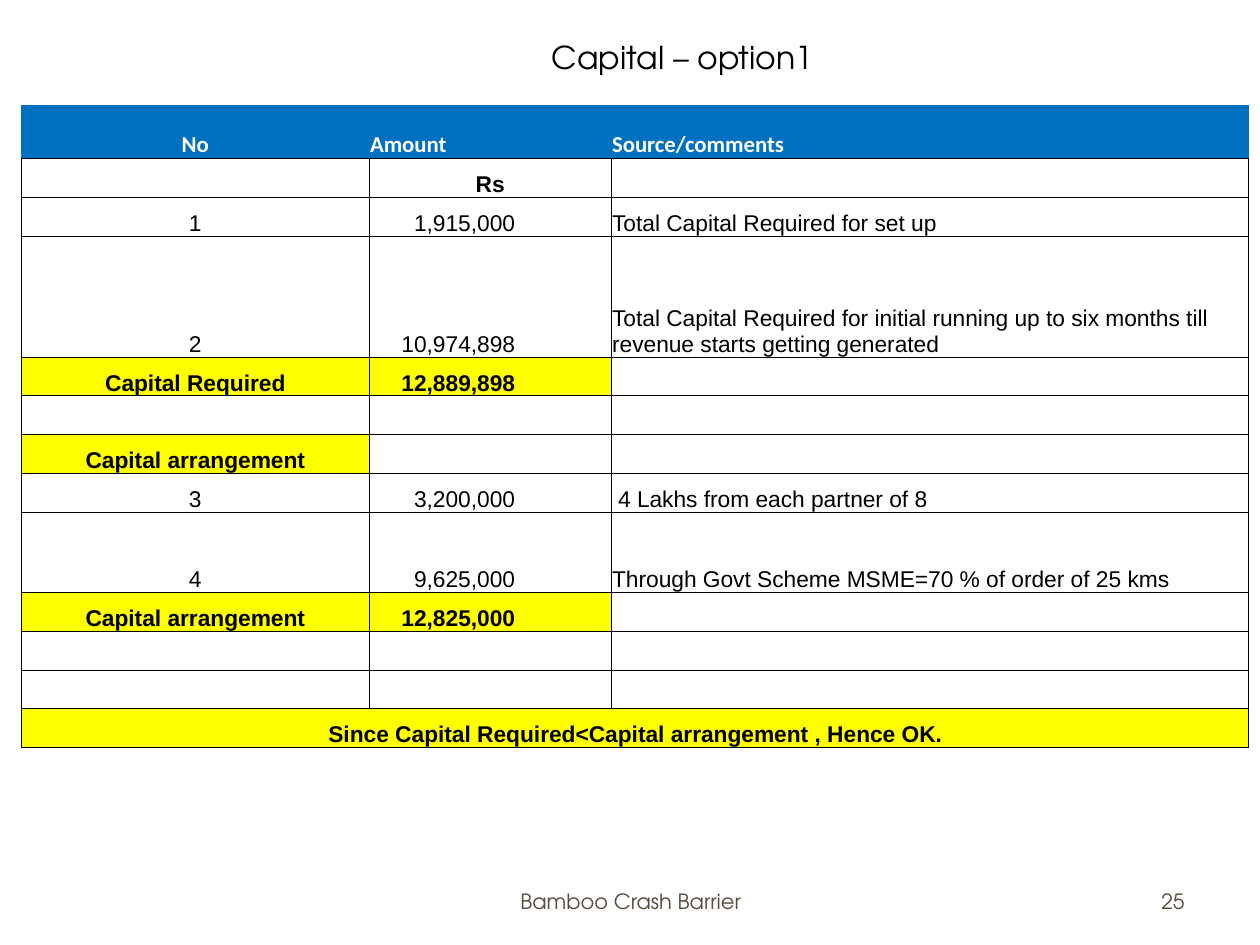
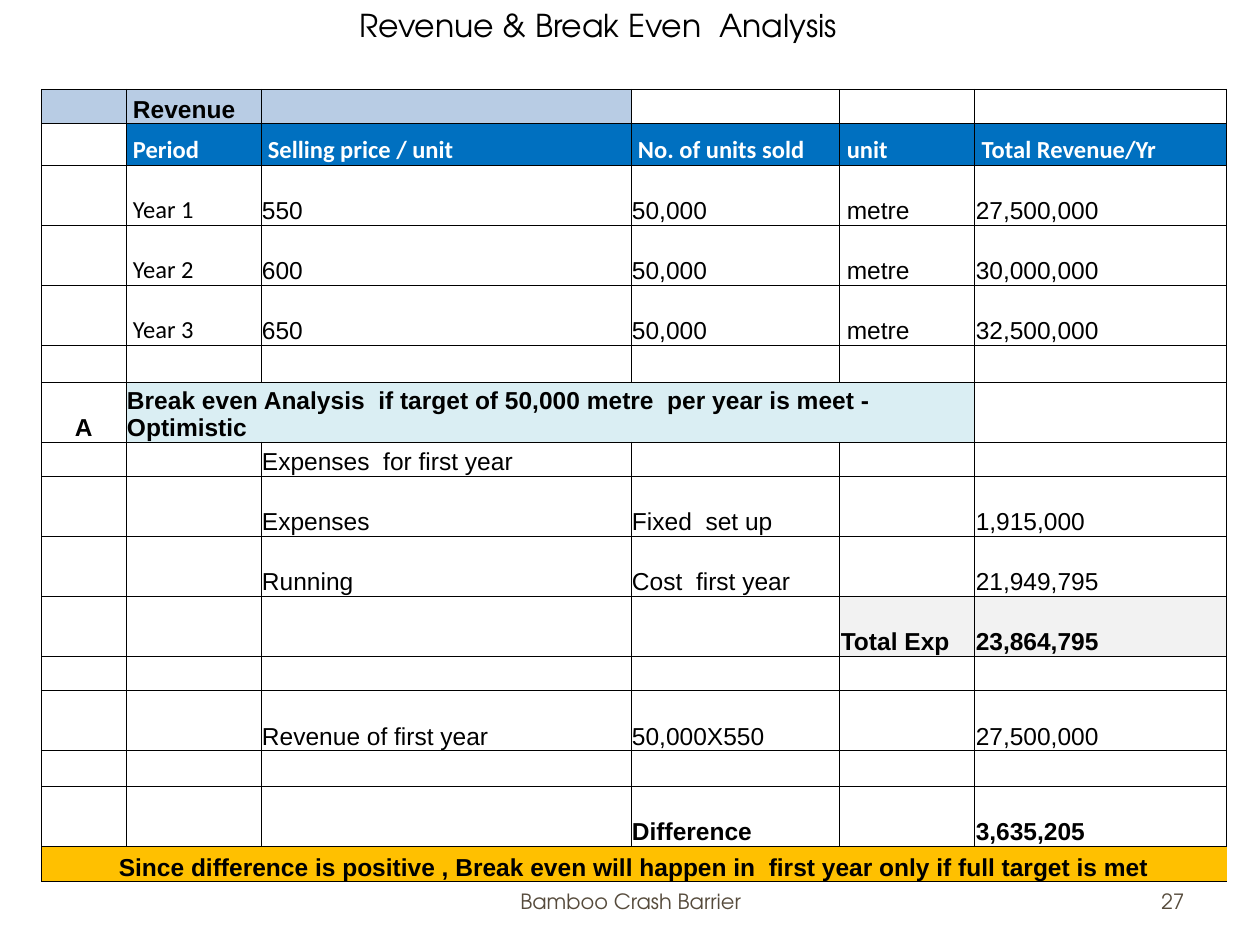
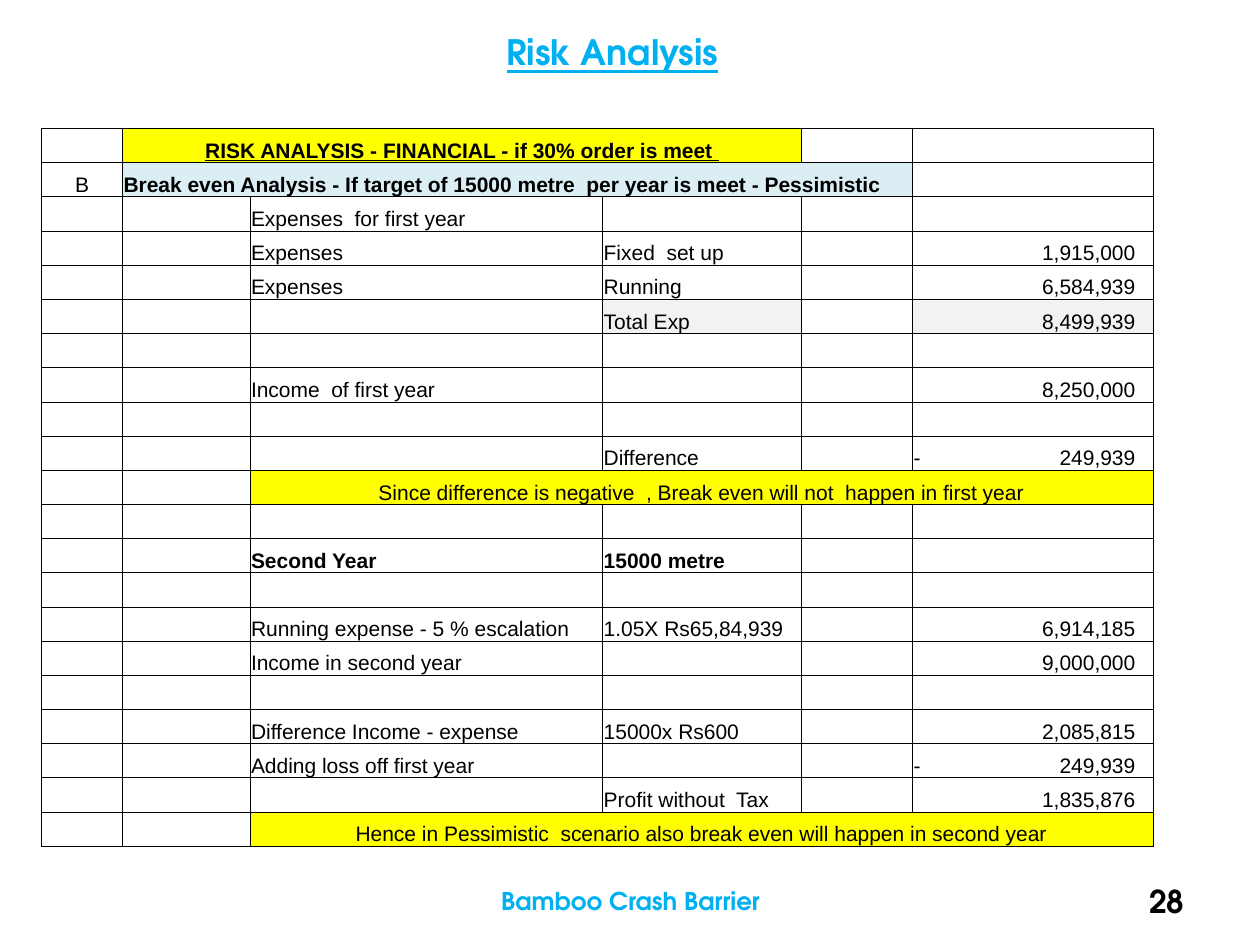
from dataclasses import dataclass

from lxml.etree import SubElement
from pptx import Presentation
from pptx.dml.color import RGBColor
from pptx.enum.text import MSO_ANCHOR as Anchor, MSO_AUTO_SIZE as AutoSize, PP_ALIGN as Align
from pptx.oxml.ns import qn
from pptx.util import Cm, Pt


@dataclass(frozen=True)
class Theme:
    # Colours
    black: str = "000000"
    white: str = "FFFFFF"
    brown: str = "564B3C"
    sky: str = "00B0F0"
    blue: str = "0070C0"
    pale_blue: str = "B8CCE4"
    pale_cyan: str = "DAEEF3"
    yellow: str = "FFFF00"
    amber: str = "FFC000"
    grey: str = "F2F2F2"
    # Fonts
    display: str = "TeX Gyre Adventor"
    body: str = "Arial"
    header: str = "Calibri"
    # Type sizes and line width, in points
    title_size: int = 18
    strong_title_size: int = 20
    footer_size: int = 12
    strong_footer_size: int = 14
    border: float = 0.5


THEME = Theme()


def write(frame, text, *, font=THEME.display, size=THEME.title_size, color=THEME.black,
          bold=False, underline=False, align=Align.LEFT, tab=None):
    """Put one formatted paragraph into a text frame."""
    paragraph = frame.paragraphs[0]
    paragraph.alignment = align
    if tab:
        stops = SubElement(paragraph._p.get_or_add_pPr(), qn("a:tabLst"))
        SubElement(stops, qn("a:tab"), pos=str(Cm(tab)), algn="r")
    if not text:
        # An empty cell must not grow to the default type size
        SubElement(paragraph._p, qn("a:endParaRPr"), sz=str(Pt(size).centipoints))
        return
    run = paragraph.add_run()
    run.text = text
    run.font.name = font
    run.font.size = Pt(size)
    run.font.bold = bold
    run.font.underline = underline
    run.font.color.rgb = RGBColor.from_string(color)


def draw_borders(cell, sides):
    properties = cell._tc.get_or_add_tcPr()
    for side in "LRTB":
        line = SubElement(properties, qn(f"a:ln{side}"), w=str(Pt(THEME.border)))
        if side in sides:
            fill = SubElement(line, qn("a:solidFill"))
            SubElement(fill, qn("a:srgbClr"), val=THEME.black)
        else:
            SubElement(line, qn("a:noFill"))


class Deck:
    def __init__(self):
        self.presentation = Presentation()
        self.presentation.slide_width = Cm(25.4)
        self.presentation.slide_height = Cm(19.05)
        self.slide = None

    def add_slide(self):
        layout = self.presentation.slide_layouts.get_by_name("Title Only")
        self.slide = self.presentation.slides.add_slide(layout)

    def title(self, text, left, top, width, height=1.8, **style):
        shape = self.slide.shapes.title
        shape.left, shape.top, shape.width, shape.height = map(Cm, (left, top, width, height))
        frame = shape.text_frame
        frame.auto_size = AutoSize.NONE
        frame.word_wrap = True
        frame.vertical_anchor = Anchor.TOP
        frame.margin_right = 0
        write(frame, text, **style)

    def text(self, text, left, top, width, height, **style):
        frame = self.slide.shapes.add_textbox(*map(Cm, (left, top, width, height))).text_frame
        frame.word_wrap = True
        frame.vertical_anchor = Anchor.MIDDLE
        write(frame, text, **style)

    def footer(self, number, size=THEME.footer_size, number_size=THEME.footer_size,
               color=THEME.brown, number_color=THEME.brown, bold=False):
        self.text("Bamboo Crash Barrier", 8.69, 17.65, 8.05, 1.02, size=size,
                  color=color, bold=bold, align=Align.CENTER)
        self.text(str(number), 18.21, 17.65, 5.92, 1.02, size=number_size,
                  color=number_color, bold=bold, align=Align.RIGHT)

    def table(self, left, top, widths, heights, rows, size, columns=None, formats=None):
        """Formats are keyed by (row, column) and refine those of the column."""
        columns, formats = columns or {}, formats or {}
        frame = self.slide.shapes.add_table(
            len(heights), len(widths), *map(Cm, (left, top, sum(widths), sum(heights))))
        table = frame.table
        table.first_row = table.horz_banding = False
        for column, width in zip(table.columns, widths):
            column.width = Cm(width)
        for row, height in zip(table.rows, heights):
            row.height = Cm(height)
        for r, texts in enumerate(rows):
            texts = texts + [""] * (len(widths) - len(texts))
            for c, text in enumerate(texts):
                style = {"size": size, **columns.get(c, {}), **formats.get((r, c), {})}
                self.cell(table, r, c, text, **style)

    def cell(self, table, r, c, text, fill=None, span=1, sides="LRTB",
             indent=0.02, right=0.02, font=THEME.body, **style):
        cell = table.cell(r, c)
        if span > 1:
            cell.merge(table.cell(r, c + span - 1))
        cell.vertical_anchor = Anchor.BOTTOM
        cell.margin_left, cell.margin_right = Cm(indent), Cm(right)
        cell.margin_top, cell.margin_bottom = Cm(0.02), 0
        draw_borders(cell, sides)
        if fill:
            cell.fill.solid()
            cell.fill.fore_color.rgb = RGBColor.from_string(fill)
        else:
            cell.fill.background()
        write(cell.text_frame, text, font=font, **style)


# Formats the tables share
CENTER = {"align": Align.CENTER}
BOLD = {"bold": True}
HEADER = {"font": THEME.header, "color": THEME.white, "fill": THEME.blue, "bold": True}
HIGHLIGHT = {"fill": THEME.yellow}
TOTAL = {"fill": THEME.grey}
SCENARIO = {"fill": THEME.pale_cyan, "bold": True, "span": 4}
INDENT = {"indent": 0.14}

deck = Deck()

# Slide 1: capital required and arranged
deck.add_slide()
deck.title("Capital – option1", 10.87, 0.64, 5.87)
open_header = HEADER | {"sides": "B"}
strong = HIGHLIGHT | BOLD
line = 0.78
deck.table(
    0.43, 2.11, [7.01, 4.88, 12.85],
    [1.09, line, line, 2.44] + [line] * 4 + [1.63] + [line] * 4,
    [["No", "Amount", "Source/comments"],
     ["", "Rs"],
     ["1", "1,915,000", "Total Capital Required for set up"],
     ["2", "10,974,898", "Total Capital Required for initial running up to six months "
                         "till revenue starts getting generated"],
     ["Capital Required", "12,889,898"],
     [],
     ["Capital arrangement"],
     ["3", "3,200,000", "4 Lakhs from each partner of 8"],
     ["4", "9,625,000", "Through Govt Scheme MSME=70 % of order of 25 kms"],
     ["Capital arrangement", "12,825,000"],
     [],
     [],
     ["Since Capital Required<Capital arrangement , Hence OK."]],
    size=13,
    columns={0: CENTER, 1: {"align": Align.RIGHT, "right": 1.94}},
    formats={(0, 0): open_header,
             (0, 1): open_header | {"align": Align.LEFT},
             (0, 2): open_header,
             (1, 1): CENTER | BOLD | {"right": 0.02},
             (7, 2): INDENT,
             (12, 0): strong | {"span": 3},
             **{(r, c): strong for r, c in [(4, 0), (4, 1), (6, 0), (9, 0), (9, 1)]}})
deck.footer(25)

# Slide 2: revenue and the optimistic case
deck.add_slide()
deck.title("Revenue & Break Even  Analysis", 6.99, 0, 11)
short, tall = 0.69, 1.21
deck.table(
    0.84, 1.8, [1.7, 2.72, 7.46, 4.21, 2.72, 5.08],
    [short, 0.84, tall, tall, tall, 0.74, tall, short, tall, tall, tall, short,
     tall, 0.72, tall, 0.72],
    [["", "Revenue"],
     ["", "Period", "Selling price / unit", "No. of units sold", "unit", "Total Revenue/Yr"],
     ["", "Year 1", "550", "50,000", "metre", "27,500,000"],
     ["", "Year 2", "600", "50,000", "metre", "30,000,000"],
     ["", "Year 3", "650", "50,000", "metre", "32,500,000"],
     [],
     ["A", "Break even Analysis  if target of 50,000 metre  per year is meet - Optimistic"],
     ["", "", "Expenses  for first year"],
     ["", "", "Expenses", "Fixed  set up", "", "1,915,000"],
     ["", "", "Running", "Cost  first year", "", "21,949,795"],
     ["", "", "", "", "Total Exp", "23,864,795"],
     [],
     ["", "", "Revenue of first year", "50,000X550", "", "27,500,000"],
     [],
     ["", "", "", "Difference", "", "3,635,205"],
     ["Since difference is positive , Break even will happen in  first year only "
      "if full target is met"]],
    size=14,
    columns={0: CENTER | BOLD},
    formats={**{(0, c): {"fill": THEME.pale_blue} | BOLD | INDENT for c in range(3)},
             **{(1, c): HEADER | INDENT for c in range(1, 6)},
             **{(r, 1): INDENT | {"font": THEME.header} for r in range(2, 5)},
             **{(r, 4): INDENT for r in range(2, 5)},
             (6, 1): SCENARIO,
             **{(10, c): TOTAL | BOLD for c in (4, 5)},
             **{(14, c): BOLD for c in (3, 5)},
             (15, 0): {"fill": THEME.amber, "span": 6, "sides": "LTB"}})
deck.footer(27)

# Slide 3: the pessimistic case
deck.add_slide()
deck.title("Risk Analysis", 9.96, 0.48, 4.83, 1.12, size=THEME.strong_title_size,
           color=THEME.sky, bold=True, underline=True)
result = HIGHLIGHT | CENTER | {"span": 4}
loss = {"align": Align.LEFT, "tab": 4.48}
deck.table(
    0.84, 2.59, [1.63, 2.57, 7.11, 4.01, 2.24, 4.85], [0.69] * 21,
    [["", "RISK ANALYSIS - FINANCIAL - if 30% order is meet "],
     ["B", "Break even Analysis - If target of 15000 metre  per year is meet - Pessimistic"],
     ["", "", "Expenses  for first year"],
     ["", "", "Expenses", "Fixed  set up", "", "1,915,000"],
     ["", "", "Expenses", "Running", "", "6,584,939"],
     ["", "", "", "Total Exp", "", "8,499,939"],
     [],
     ["", "", "Income  of first year", "", "", "8,250,000"],
     [],
     ["", "", "", "Difference", "", "-\t249,939"],
     ["", "", "Since difference is negative  , Break even will not  happen in first year"],
     [],
     ["", "", "Second Year", "15000 metre"],
     [],
     ["", "", "Running expense - 5 % escalation", "1.05X Rs65,84,939", "", "6,914,185"],
     ["", "", "Income in second year", "", "", "9,000,000"],
     [],
     ["", "", "Difference Income - expense", "15000x Rs600", "", "2,085,815"],
     ["", "", "Adding loss off first year", "", "", "-\t249,939"],
     ["", "", "", "Profit without  Tax", "", "1,835,876"],
     ["", "", "Hence in Pessimistic  scenario also break even will happen in second year"]],
    size=12,
    columns={0: CENTER, 5: {"align": Align.RIGHT, "right": 0.36}},
    formats={(0, 1): HIGHLIGHT | CENTER | BOLD | {"underline": True, "span": 3},
             (1, 1): SCENARIO,
             (5, 3): TOTAL, (5, 5): TOTAL,
             (9, 5): loss, (18, 5): loss,
             (10, 2): result, (20, 2): result,
             (12, 2): BOLD, (12, 3): BOLD})
deck.footer(28, size=THEME.strong_footer_size, number_size=THEME.title_size,
            color=THEME.sky, number_color=THEME.black, bold=True)

deck.presentation.save("out.pptx")
